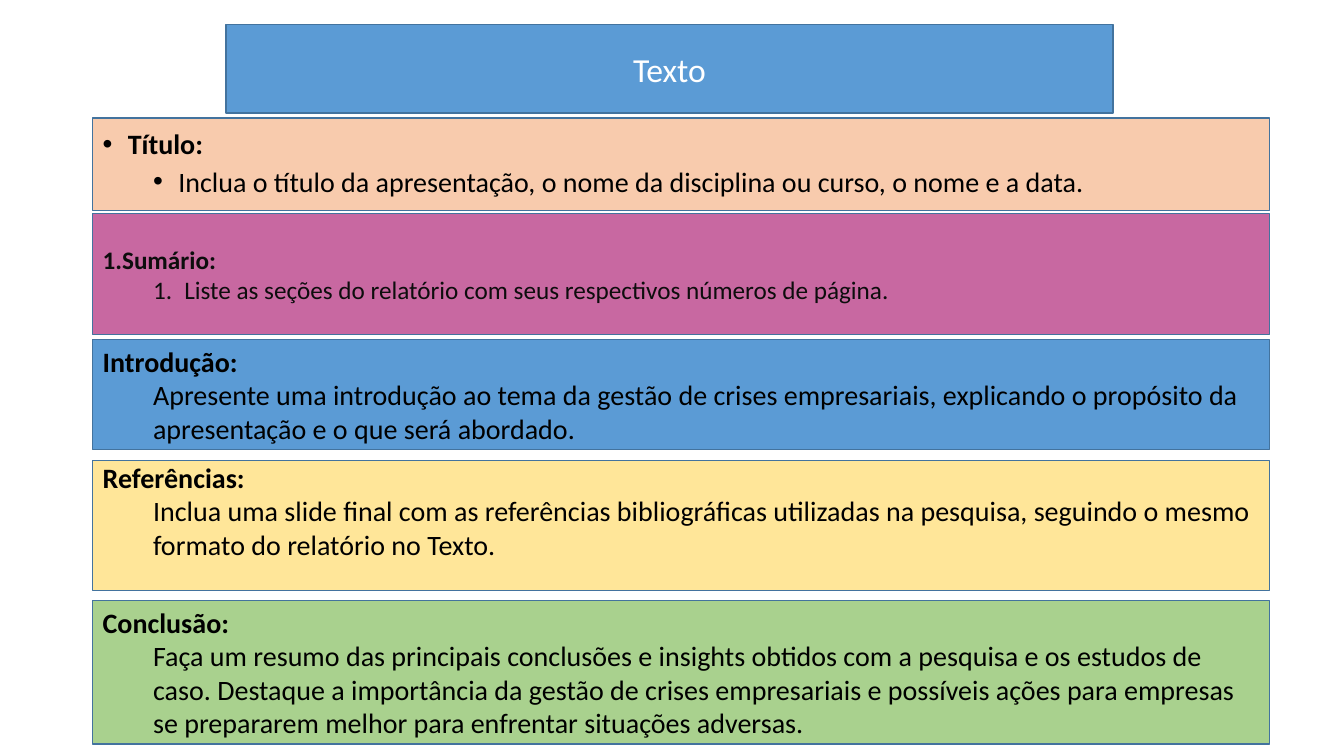
from lxml import etree
from pptx import Presentation
from pptx.dml.color import RGBColor
from pptx.enum.shapes import MSO_SHAPE as Preset
from pptx.enum.text import MSO_ANCHOR as Anchor, PP_ALIGN as Align
from pptx.oxml.ns import qn
from pptx.util import Inches, Pt

# Content
HEADER = "Texto"
# heading, detail, top, height, fill
SECTIONS = [
    ("Título:",
     "Inclua o título da apresentação, o nome da disciplina ou curso, o nome e a data.",
     1.17, 0.92, "F8CBAD"),
    ("Sumário:",
     "Liste as seções do relatório com seus respectivos números de página.",
     2.12, 1.2, "C868A1"),
    ("Introdução:",
     "Apresente uma introdução ao tema da gestão de crises empresariais, "
     "explicando o propósito da apresentação e o que será abordado.",
     3.37, 1.09, "5B9BD5"),
    ("Referências:",
     "Inclua uma slide final com as referências bibliográficas utilizadas na pesquisa, "
     "seguindo o mesmo formato do relatório no Texto.",
     4.57, 1.29, "FFE699"),
    ("Conclusão:",
     "Faça um resumo das principais conclusões e insights obtidos com a pesquisa e os "
     "estudos de caso. Destaque a importância da gestão de crises empresariais e "
     "possíveis ações para empresas se prepararem melhor para enfrentar situações adversas.",
     5.96, 1.42, "A9D18E"),
]

# Departures from the plain section style; indents are (left, first line)
PLAIN = {"size": 20, "color": "000000", "marker": None,
         "indents": [(0, 0), (0.5, 0)], "bottom": 0.05}
STYLES = {
    "Título:": {"marker": ("a:buChar", "char", "•"), "spacing": (10, 5),
                "indents": [(0.25, -0.25), (0.75, -0.25)]},
    "Sumário:": {"marker": ("a:buAutoNum", "type", "arabicPeriod"), "size": 18,
                 "color": "0D0D0D", "indents": [(0, 0), (0.81, -0.31)]},
    "Referências:": {"bottom": 0.35},
}


def rgb(color):
    return RGBColor.from_string(color)


def add_box(slide, left, top, width, height, fill):
    box = slide.shapes.add_shape(Preset.RECTANGLE, Inches(left), Inches(top),
                                 Inches(width), Inches(height))
    box.shadow.inherit = False
    box.fill.solid()
    box.fill.fore_color.rgb = rgb(fill)
    box.line.color.rgb = rgb("43739E")
    box.line.width = Pt(1)
    box.text_frame.word_wrap = True
    box.text_frame.vertical_anchor = Anchor.MIDDLE
    return box.text_frame


def write(paragraph, text, size, color, bold=False, align=Align.LEFT):
    paragraph.text = text
    paragraph.alignment = align
    font = paragraph.font
    font.name, font.size, font.bold = "Calibri", Pt(size), bold
    font.color.rgb = rgb(color)


def set_indent(paragraph, left, first, marker):
    properties = paragraph._p.get_or_add_pPr()
    properties.set("marL", str(Inches(left)))
    properties.set("indent", str(Inches(first)))
    if marker:
        tag, key, value = marker
        if tag == "a:buChar":
            etree.SubElement(properties, qn("a:buFont"), typeface="Arial")
        etree.SubElement(properties, qn(tag), {key: value})


prs = Presentation()
prs.slide_width, prs.slide_height = Inches(13.33), Inches(7.5)
slide = prs.slides.add_slide(prs.slide_layouts[6])

# Header
header = add_box(slide, 2.24, 0.24, 8.8, 0.88, "5B9BD5")
write(header.paragraphs[0], HEADER, 24, "FFFFFF", align=Align.CENTER)

# Sections
for heading, detail, top, height, fill in SECTIONS:
    style = PLAIN | STYLES.get(heading, {})
    section = add_box(slide, 0.92, top, 11.67, height, fill)
    section.margin_bottom = Inches(style["bottom"])
    section.add_paragraph()
    for level, text in enumerate((heading, detail)):
        paragraph = section.paragraphs[level]
        paragraph.level = level
        set_indent(paragraph, *style["indents"][level], style["marker"])
        write(paragraph, text, style["size"], style["color"], bold=level == 0)
        if "spacing" in style:
            paragraph.line_spacing = 0.9
            paragraph.space_before = Pt(style["spacing"][level])

prs.save("out.pptx")
